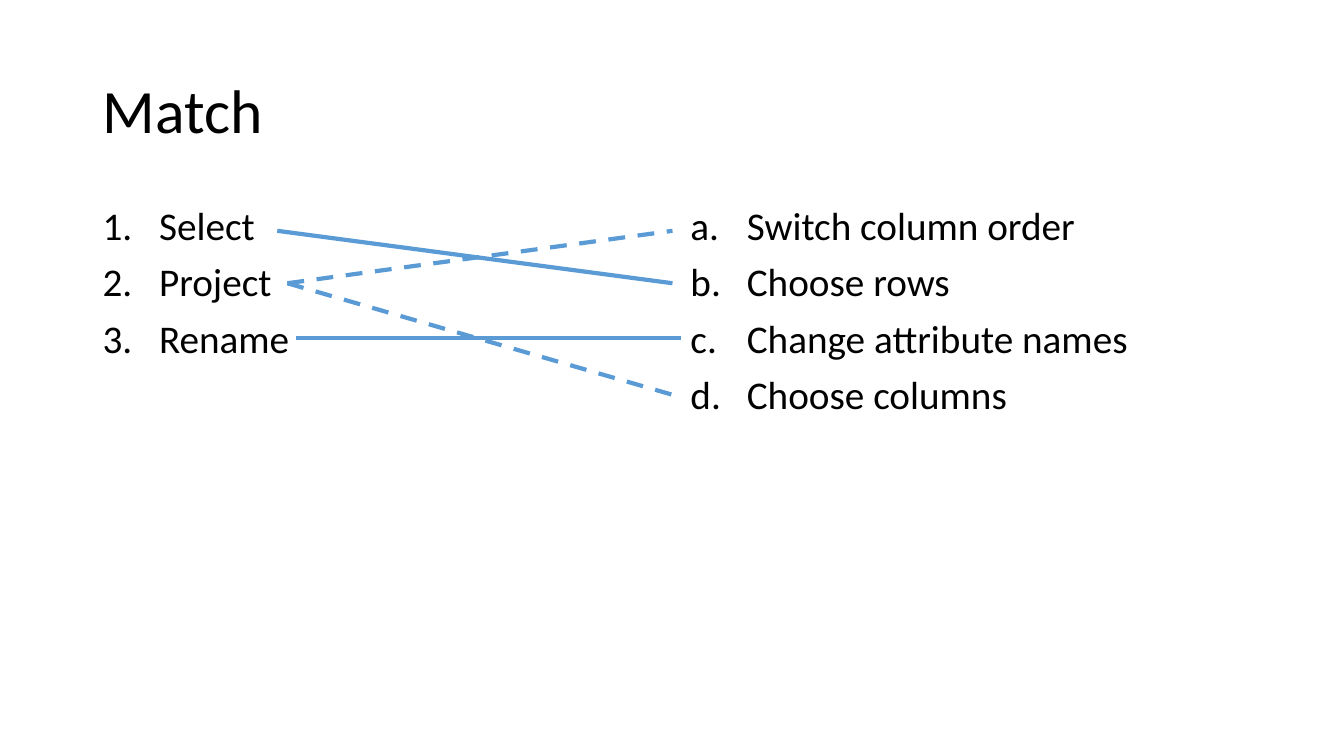
"""Build a matching exercise slide with two lettered lists and connecting lines."""
from dataclasses import dataclass
from typing import Any, Optional

from lxml import etree
from pptx import Presentation
from pptx.dml.color import RGBColor
from pptx.enum import dml, shapes, text
from pptx.oxml import ns
from pptx.util import Inches, Pt


@dataclass(frozen=True)
class TextBlock:
    left: float
    top: float
    width: float
    height: float
    lines: tuple[str, ...]
    size: int
    anchor: Any = text.MSO_ANCHOR.TOP
    space_before: int = 0
    numbering: Optional[str] = None


@dataclass(frozen=True)
class MatchLine:
    start: tuple[float, float]
    end: tuple[float, float]
    dash: Any = None


FONT = "Calibri"
TEXT_COLOR = "000000"
LINE_COLOR = "5B9BD5"
LEFT_EDGE, RIGHT_EDGE = 0.92, 6.75
HANGING_INDENT = 0.56
SELECT_ROW, PROJECT_ROW, RENAME_ROW, COLUMNS_ROW = 2.29, 2.81, 3.35, 3.94
PROJECT_POINT = (2.85, PROJECT_ROW)
DASH = dml.MSO_LINE.DASH

TITLE = TextBlock(LEFT_EDGE, 0.4, 11.5, 1.45, ("Match",), 44, text.MSO_ANCHOR.MIDDLE)
OPERATIONS = TextBlock(
    LEFT_EDGE, 2, 5.67, 4.76, ("Select", "Project", "Rename"),
    28, space_before=10, numbering="arabicPeriod",
)
EFFECTS = TextBlock(
    RIGHT_EDGE, 2, 5.67, 4.76,
    ("Switch column order", "Choose rows", "Change attribute names", "Choose columns"),
    28, space_before=10, numbering="alphaLcPeriod",
)
MATCHES = (
    MatchLine((2.75, SELECT_ROW), (6.67, PROJECT_ROW)),
    MatchLine(PROJECT_POINT, (6.67, SELECT_ROW), DASH),
    MatchLine(PROJECT_POINT, (RIGHT_EDGE, COLUMNS_ROW), DASH),
    MatchLine((2.94, RENAME_ROW), (RIGHT_EDGE, RENAME_ROW)),
)


def color(value: str) -> RGBColor:
    return RGBColor.from_string(value)


def set_format(target: Any, values: dict[str, Any]) -> None:
    for name, value in values.items():
        setattr(target, name, value)


def add_numbering(paragraph: Any, scheme: str) -> None:
    properties = paragraph._p.get_or_add_pPr()
    properties.set("marL", str(Inches(HANGING_INDENT)))
    properties.set("indent", str(-Inches(HANGING_INDENT)))
    for tag, attribute, value in (
        ("a:buFont", "typeface", "+mj-lt"),
        ("a:buAutoNum", "type", scheme),
    ):
        etree.SubElement(properties, ns.qn(tag)).set(attribute, value)


def add_text(slide: Any, block: TextBlock) -> None:
    shape = slide.shapes.add_textbox(
        Inches(block.left), Inches(block.top), Inches(block.width), Inches(block.height)
    )
    frame = shape.text_frame
    set_format(frame, {"word_wrap": True, "vertical_anchor": block.anchor})
    frame.text = "\n".join(block.lines)
    for paragraph in frame.paragraphs:
        set_format(paragraph, {"line_spacing": 0.9, "space_before": Pt(block.space_before)})
        font = paragraph.runs[0].font
        set_format(font, {"name": FONT, "size": Pt(block.size)})
        font.color.rgb = color(TEXT_COLOR)
        if block.numbering:
            add_numbering(paragraph, block.numbering)


def add_match(slide: Any, match: MatchLine) -> None:
    connector = slide.shapes.add_connector(
        shapes.MSO_CONNECTOR.STRAIGHT, *map(Inches, match.start + match.end)
    )
    connector.line.color.rgb = color(LINE_COLOR)
    set_format(connector.line, {"width": Pt(3), "dash_style": match.dash})
    etree.SubElement(connector._element.spPr, ns.qn("a:effectLst"))


def main() -> None:
    presentation = Presentation()
    set_format(presentation, {"slide_width": Inches(13.33), "slide_height": Inches(7.5)})
    slide = presentation.slides.add_slide(presentation.slide_layouts[6])
    for block in (TITLE, OPERATIONS, EFFECTS):
        add_text(slide, block)
    for match in MATCHES:
        add_match(slide, match)
    presentation.save("out.pptx")


if __name__ == "__main__":
    main()
